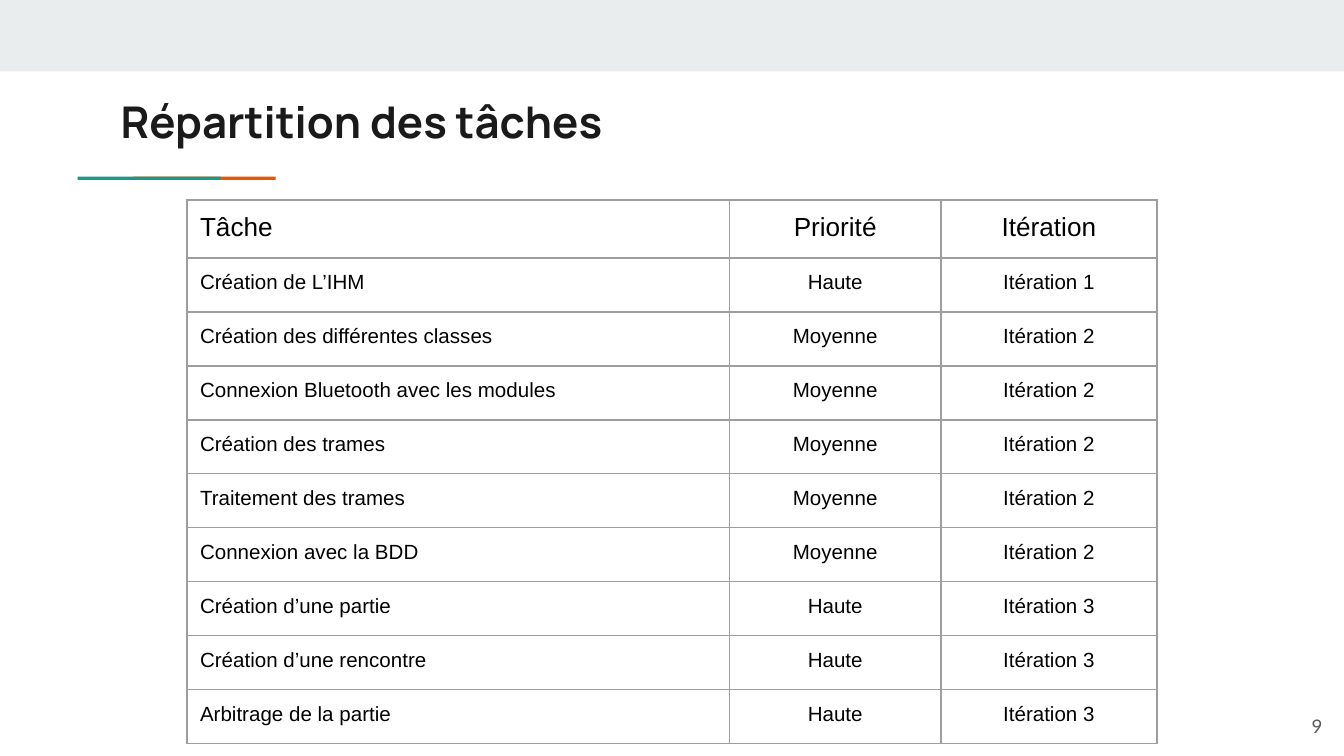
"""Build the task breakdown slide with its priority and iteration table."""
from lxml import etree
from pptx import Presentation
from pptx import util as u
from pptx.dml.color import RGBColor
from pptx.enum import shapes, text
from pptx.oxml import ns

BAND = RGBColor(0xE9, 0xED, 0xEE)
ORANGE = RGBColor(0xEB, 0x56, 0x00)
TEAL = RGBColor(0x1A, 0x99, 0x88)
INK = RGBColor(0x1A, 0x1A, 0x1A)
GREY = RGBColor(0x59, 0x59, 0x59)
BLACK = RGBColor(0, 0, 0)
BORDER = RGBColor(0x9E, 0x9E, 0x9E)

TITLE = "Répartition des tâches"
PAGE_NUMBER = "9"
TASKS = [
    ("Tâche", "Priorité", "Itération"),
    ("Création de L’IHM", "Haute", "Itération 1"),
    ("Création des différentes classes", "Moyenne", "Itération 2"),
    ("Connexion Bluetooth avec les modules", "Moyenne", "Itération 2"),
    ("Création des trames", "Moyenne", "Itération 2"),
    ("Traitement des trames", "Moyenne", "Itération 2"),
    ("Connexion avec la BDD", "Moyenne", "Itération 2"),
    ("Création d’une partie", "Haute", "Itération 3"),
    ("Création d’une rencontre", "Haute", "Itération 3"),
    ("Arbitrage de la partie", "Haute", "Itération 3"),
]
COLUMN_WIDTHS = (10.26, 3.99, 4.09)
HEADER_HEIGHT, ROW_HEIGHT = 1.06, 1.02
BARS = [
    (0, 0, 25.4, 1.35, BAND),
    (2.51, 3.34, 2.7, 0.06, ORANGE),
    (1.47, 3.34, 2.7, 0.06, TEAL),
]
MARGINS = {f"margin_{side}": u.Cm(0.25) for side in ("left", "top", "right", "bottom")}
TITLE_FONT = {"name": "Manrope", "size": u.Pt(23.4), "bold": True}
NUMBER_FONT = {"name": "Lato", "size": u.Pt(10)}
HEADER_FONT = {"name": "Arial", "size": u.Pt(14), "bold": False}
BODY_FONT = {**HEADER_FONT, "size": u.Pt(11)}


def apply_format(target, values):
    for name, value in values.items():
        setattr(target, name, value)


def write(frame, content, font, color, alignment):
    paragraph = frame.paragraphs[0]
    paragraph.alignment = alignment
    run = paragraph.add_run()
    run.text = content
    apply_format(run.font, font)
    run.font.color.rgb = color


def add_bar(slide, left, top, width, height, color):
    bar = slide.shapes.add_shape(
        shapes.MSO_SHAPE.RECTANGLE, u.Cm(left), u.Cm(top), u.Cm(width), u.Cm(height))
    bar.shadow.inherit = False
    bar.fill.solid()
    bar.fill.fore_color.rgb = color
    bar.line.fill.background()


def add_borders(cell):
    properties = cell._tc.get_or_add_tcPr()
    for index, edge in enumerate(("lnL", "lnR", "lnT", "lnB")):
        line = etree.Element(ns.qn(f"a:{edge}"), w=str(u.Pt(1)))
        fill = etree.SubElement(line, ns.qn("a:solidFill"))
        etree.SubElement(fill, ns.qn("a:srgbClr"), val=str(BORDER))
        properties.insert(index, line)


def add_title(slide):
    title = slide.shapes.title
    apply_format(title, {"left": u.Cm(2.03), "top": u.Cm(1.55),
                         "width": u.Cm(21.36), "height": u.Cm(1.5)})
    apply_format(title.text_frame, {**MARGINS, "word_wrap": True,
                                    "auto_size": text.MSO_AUTO_SIZE.NONE,
                                    "vertical_anchor": text.MSO_ANCHOR.TOP})
    write(title.text_frame, TITLE, TITLE_FONT, INK, text.PP_ALIGN.LEFT)


def add_page_number(slide):
    box = slide.shapes.add_textbox(u.Cm(23.72), u.Cm(13.18), u.Cm(1.52), u.Cm(1.09))
    apply_format(box.text_frame, {**MARGINS, "word_wrap": True,
                                  "vertical_anchor": text.MSO_ANCHOR.MIDDLE})
    write(box.text_frame, PAGE_NUMBER, NUMBER_FONT, GREY, text.PP_ALIGN.RIGHT)


def add_task_table(slide):
    heights = [HEADER_HEIGHT] + [ROW_HEIGHT] * (len(TASKS) - 1)
    table = slide.shapes.add_table(
        len(TASKS), len(COLUMN_WIDTHS), u.Cm(3.53), u.Cm(3.78),
        u.Cm(sum(COLUMN_WIDTHS)), u.Cm(sum(heights))).table
    apply_format(table, {"first_row": False, "horz_banding": False})
    for column, width in zip(table.columns, COLUMN_WIDTHS):
        column.width = u.Cm(width)
    for row_index, (row, height, task) in enumerate(zip(table.rows, heights, TASKS)):
        row.height = u.Cm(height)
        font = BODY_FONT if row_index else HEADER_FONT
        for column_index, (cell, content) in enumerate(zip(row.cells, task)):
            alignment = text.PP_ALIGN.CENTER if column_index else text.PP_ALIGN.LEFT
            apply_format(cell, {**MARGINS, "vertical_anchor": text.MSO_ANCHOR.TOP})
            cell.fill.background()
            add_borders(cell)
            write(cell.text_frame, content, font, BLACK, alignment)


def main():
    presentation = Presentation()
    apply_format(presentation, {"slide_width": u.Cm(25.4), "slide_height": u.Cm(14.29)})
    slide = presentation.slides.add_slide(presentation.slide_layouts.get_by_name("Title Only"))
    for bar in BARS:
        add_bar(slide, *bar)
    add_title(slide)
    add_page_number(slide)
    add_task_table(slide)
    presentation.save("out.pptx")


if __name__ == "__main__":
    main()
